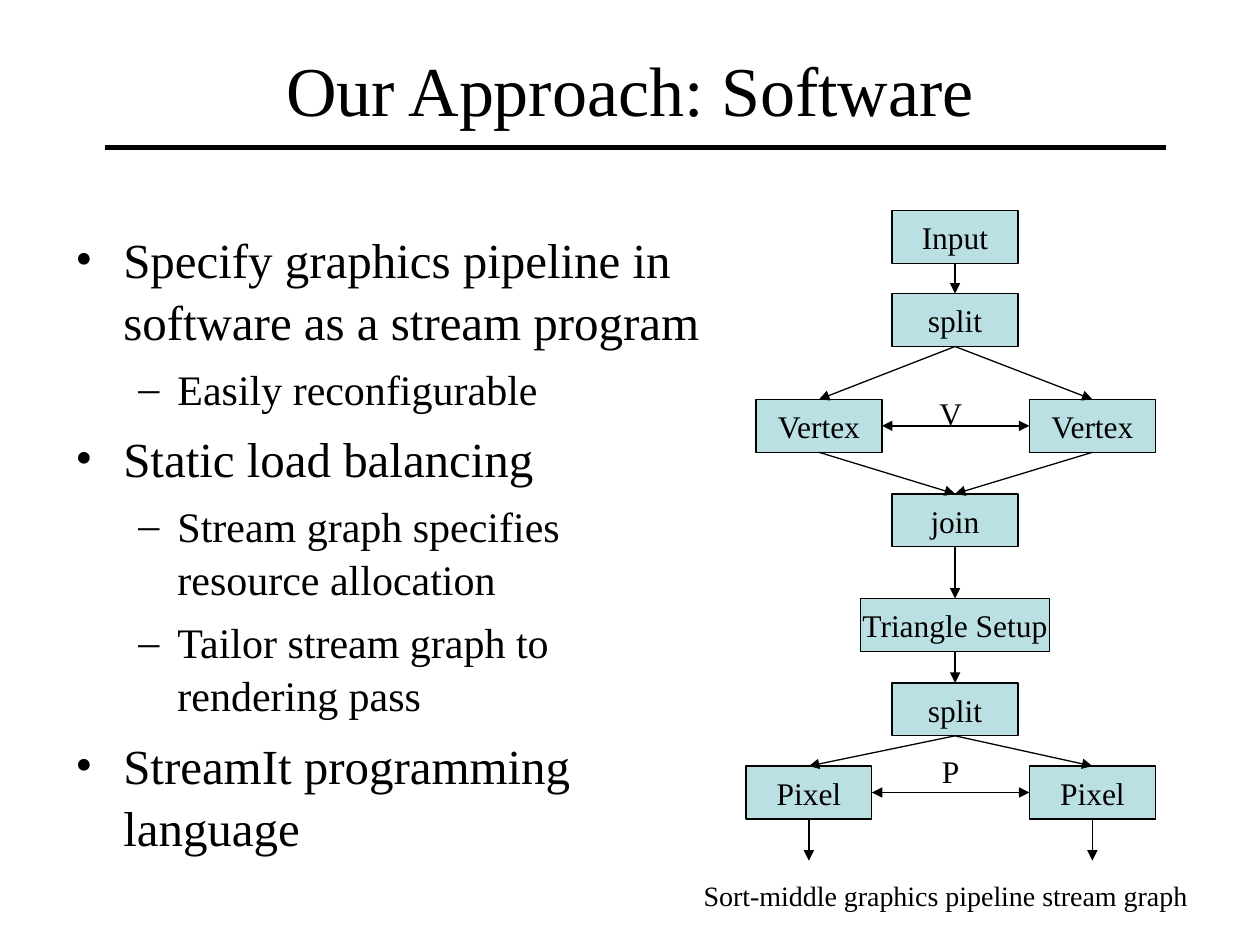
from dataclasses import dataclass

import lxml.etree
import pptx
import pptx.dml.color
import pptx.enum.shapes
import pptx.enum.text
import pptx.oxml.ns
import pptx.util

Inches = pptx.util.Inches
Pt = pptx.util.Pt
qn = pptx.oxml.ns.qn
CENTER = pptx.enum.text.PP_ALIGN.CENTER
MIDDLE = pptx.enum.text.MSO_ANCHOR.MIDDLE
STRAIGHT = pptx.enum.shapes.MSO_CONNECTOR.STRAIGHT

COLORS = {"ink": "000000", "box": "BBE0E3"}
FONT = "Times New Roman"
BOX_HEIGHT = 0.42
MID_X, RIGHT_X = 7.58, 8.67
TOP, LEFT, BOTTOM, RIGHT = range(4)


@dataclass(frozen=True)
class Node:
    text: str
    center: float
    top: float
    width: float = 1


@dataclass(frozen=True)
class Edge:
    start: str
    end: str
    start_site: int = BOTTOM
    end_site: int = TOP
    both: bool = False


@dataclass(frozen=True)
class Label:
    text: str
    left: float
    top: float
    width: float
    height: float
    size: int


@dataclass(frozen=True)
class Level:
    bullet: str
    size: int
    before: int
    margin: float
    indent: float


LEVELS = [Level("•", 28, 7, 0.38, -0.38), Level("–", 24, 6, 0.81, -0.31)]

BULLETS = [
    (0, "Specify graphics pipeline in software as a stream program"),
    (1, "Easily reconfigurable"),
    (0, "Static load balancing"),
    (1, "Stream graph specifies resource allocation"),
    (1, "Tailor stream graph to rendering pass"),
    (0, "StreamIt programming language"),
]

NODES = {
    "input": Node("Input", MID_X, 1.67),
    "vertex_split": Node("split", MID_X, 2.33),
    "vertex_left": Node("Vertex", 6.5, 3.17),
    "vertex_right": Node("Vertex", RIGHT_X, 3.17),
    "join": Node("join", MID_X, 3.92),
    "setup": Node("Triangle Setup", MID_X, 4.75, 1.5),
    "pixel_split": Node("split", MID_X, 5.42),
    "pixel_left": Node("Pixel", 6.42, 6.08),
    "pixel_right": Node("Pixel", RIGHT_X, 6.08),
}

EDGES = [
    Edge("input", "vertex_split"),
    Edge("vertex_split", "vertex_left"),
    Edge("vertex_split", "vertex_right"),
    Edge("vertex_left", "vertex_right", RIGHT, LEFT, True),
    Edge("vertex_left", "join"),
    Edge("vertex_right", "join"),
    Edge("join", "setup"),
    Edge("setup", "pixel_split"),
    Edge("pixel_split", "pixel_left"),
    Edge("pixel_split", "pixel_right"),
    Edge("pixel_left", "pixel_right", RIGHT, LEFT, True),
]

TITLE = Label("Our Approach: Software", 0.5, 0.08, 9, 1.25, 40)
LABELS = [
    Label("V", 7.17, 3.08, 0.75, 0.4, 18),
    Label("P", 7.17, 5.92, 0.75, 0.4, 18),
    Label("Sort-middle graphics pipeline stream graph", 5.42, 6.92, 4.17, 0.37, 16),
]


def rgb(name: str):
    return pptx.dml.color.RGBColor.from_string(COLORS[name])


def style_text(p, size: int) -> None:
    for r in p.runs:
        r.font.name = FONT
        r.font.size = Pt(size)
        r.font.color.rgb = rgb("ink")


def add_label(s, label: Label):
    sp = s.shapes.add_textbox(
        Inches(label.left), Inches(label.top), Inches(label.width), Inches(label.height)
    )
    tf = sp.text_frame
    tf.word_wrap = True
    tf.text = label.text
    p = tf.paragraphs[0]
    p.alignment = CENTER
    style_text(p, label.size)
    return sp


def add_bullets(s) -> None:
    sp = s.shapes.add_textbox(Inches(0.5), Inches(1.75), Inches(5.25), Inches(4.95))
    tf = sp.text_frame
    tf.word_wrap = True
    for i, (depth, text) in enumerate(BULLETS):
        level = LEVELS[depth]
        p = tf.add_paragraph() if i else tf.paragraphs[0]
        p.text = text
        p.level = depth
        p.line_spacing = 1.05
        p.space_before = Pt(level.before if i else 0)
        pPr = p._p.get_or_add_pPr()
        pPr.set("marL", str(Inches(level.margin)))
        pPr.set("indent", str(Inches(level.indent)))
        color = lxml.etree.SubElement(pPr, qn("a:buClr"))
        lxml.etree.SubElement(color, qn("a:srgbClr"), val=COLORS["ink"])
        lxml.etree.SubElement(pPr, qn("a:buFont"), typeface=FONT)
        lxml.etree.SubElement(pPr, qn("a:buChar"), char=level.bullet)
        style_text(p, level.size)


def add_node(s, node: Node):
    sp = s.shapes.add_shape(
        pptx.enum.shapes.MSO_SHAPE.RECTANGLE,
        Inches(node.center - node.width / 2),
        Inches(node.top),
        Inches(node.width),
        Inches(BOX_HEIGHT),
    )
    sp.shadow.inherit = False
    sp.fill.solid()
    sp.fill.fore_color.rgb = rgb("box")
    sp.line.color.rgb = rgb("ink")
    sp.line.width = Pt(0.75)
    tf = sp.text_frame
    tf.word_wrap = False
    tf.vertical_anchor = MIDDLE
    tf.text = node.text
    p = tf.paragraphs[0]
    p.alignment = CENTER
    style_text(p, 18)
    return sp


def add_line(s, start: tuple, end: tuple, width: float = 0.75, heads: tuple = ()):
    line = s.shapes.add_connector(STRAIGHT, *map(Inches, start + end))
    line.line.color.rgb = rgb("ink")
    line.line.width = Pt(width)
    for head in heads:
        lxml.etree.SubElement(line.line._get_or_add_ln(), qn(head), type="triangle")
    lxml.etree.SubElement(line._element.spPr, qn("a:effectLst"))
    return line


def add_edge(s, boxes: dict, edge: Edge) -> None:
    heads = ("a:headEnd", "a:tailEnd") if edge.both else ("a:tailEnd",)
    line = add_line(s, (0, 0), (0, 0), heads=heads)
    line.begin_connect(boxes[edge.start], edge.start_site)
    line.end_connect(boxes[edge.end], edge.end_site)


def main() -> None:
    prs = pptx.Presentation()
    prs.slide_width, prs.slide_height = Inches(10), Inches(7.5)
    s = prs.slides.add_slide(prs.slide_layouts[6])
    add_label(s, TITLE).text_frame.vertical_anchor = MIDDLE
    add_line(s, (0.83, 1.17), (9.25, 1.17), 3)
    add_bullets(s)
    boxes = {name: add_node(s, node) for name, node in NODES.items()}
    for edge in EDGES:
        add_edge(s, boxes, edge)
    for name in ("pixel_left", "pixel_right"):
        x = NODES[name].center
        add_line(s, (x, 6.5), (x, 6.83), heads=("a:tailEnd",))
    for label in LABELS:
        add_label(s, label)
    prs.save("out.pptx")


if __name__ == "__main__":
    main()
